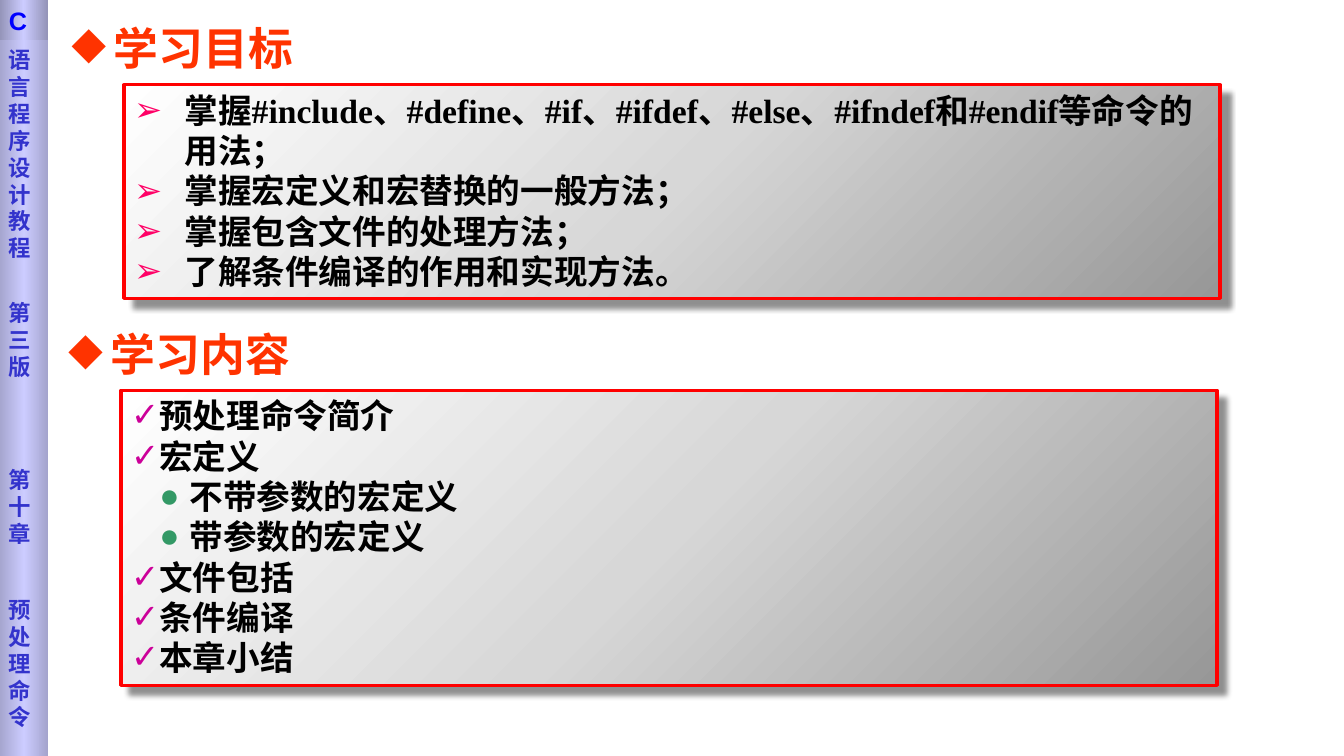
"""Build the study goals and contents slide of a C programming course."""
from copy import deepcopy

from lxml import etree
from pptx import Presentation
from pptx.dml.color import RGBColor
from pptx.enum.shapes import MSO_SHAPE
from pptx.enum.text import MSO_ANCHOR, MSO_AUTO_SIZE, PP_ALIGN
from pptx.oxml import parse_xml
from pptx.oxml.ns import nsdecls, qn
from pptx.util import Inches, Pt

RECTANGLE = MSO_SHAPE.RECTANGLE
TOP = MSO_ANCHOR.TOP
NO_FIT = MSO_AUTO_SIZE.NONE
LEFT = PP_ALIGN.LEFT
COLORS = {
    "heading": "FF3300", "text": "000000", "frame": "FF0000",
    "arrow": "FF0066", "tick": "CC0099", "dot": "339966",
    "sidebar_text": "3333CC", "language": "0000FF",
}
PANEL_STOPS = ("979797", "D7D7D7", "FFFFFF")
SIDEBAR_STOPS = ("A4A4CD", "CCCCFF", "A4A4CD")
CAP_STOPS = ("9292B6", "CCCCFF", "9292B6")
BULLETS = {
    "heading": ("◆", 0, 0.42),
    "arrow": ("➢", 0, 0.5),
    "tick": ("✓", 0, 0.28),
    "dot": ("●", 0.28, 0.3),
}


def write(shape, lines, font, size, color):
    """Fill a shape with (text, bullet, space before) lines."""
    frame = shape.text_frame
    frame.word_wrap = True
    frame.auto_size = NO_FIT
    frame.vertical_anchor = TOP
    for number, (text, bullet, gap) in enumerate(lines):
        paragraph = frame.add_paragraph() if number else frame.paragraphs[0]
        paragraph.text = text
        paragraph.alignment = LEFT
        paragraph.space_before = Pt(gap)
        if bullet:
            mark, start, hang = BULLETS[bullet]
            props = paragraph._p.get_or_add_pPr()
            props.set("marL", str(Inches(start + hang)))
            props.set("indent", str(-Inches(hang)))
            tint = etree.SubElement(props, qn("a:buClr"))
            etree.SubElement(tint, qn("a:srgbClr"), val=COLORS[bullet])
            etree.SubElement(props, qn("a:buChar"), char=mark)
        paragraph.font.name = font
        paragraph.font.size = Pt(size)
        paragraph.font.bold = True
        paragraph.font.color.rgb = RGBColor.from_string(COLORS[color])


def shade(shape, colors, angle):
    """Give a shape an evenly spaced gradient and no shadow."""
    shape.fill.gradient()
    shape.fill.gradient_angle = angle
    stop_list = shape._element.spPr.find(".//" + qn("a:gsLst"))
    stop_list.append(deepcopy(stop_list[0]))
    for number, (stop, color) in enumerate(zip(shape.fill.gradient_stops, colors)):
        stop.position = number / (len(colors) - 1)
        stop.color.rgb = RGBColor.from_string(color)
    shape.shadow.inherit = False


deck = Presentation()
deck.slide_width = Inches(13.33)
deck.slide_height = Inches(7.5)
slide = deck.slides.add_slide(deck.slide_layouts[3])
goals_heading, goals, contents = slide.placeholders
contents_heading = slide.shapes.add_textbox(0, 0, 0, 0)

for heading, text, left, top in (
    (goals_heading, "学习目标", 0.61, 0.16),
    (contents_heading, "学习内容", 0.58, 3.19),
):
    heading.left, heading.top = Inches(left), Inches(top)
    heading.width, heading.height = Inches(4.25), Inches(0.63)
    write(heading, [(text, "heading", 0)], "Arial", 32, "heading")

goal_lines = [(text, "arrow", 0) for text in (
    "掌握#include、#define、#if、#ifdef、#else、#ifndef和#endif等命令的用法；",
    "掌握宏定义和宏替换的一般方法；",
    "掌握包含文件的处理方法；",
    "了解条件编译的作用和实现方法。",
)]
content_lines = [
    ("预处理命令简介", "tick", 0),
    ("宏定义", "tick", 0),
    ("不带参数的宏定义", "dot", 0),
    ("带参数的宏定义", "dot", 0),
    ("文件包括", "tick", 0),
    ("条件编译", "tick", 0),
    ("本章小结", "tick", 0),
]
for panel, lines, left, top, height in (
    (goals, goal_lines, 1.23, 0.84, 2.12),
    (contents, content_lines, 1.2, 3.87, 2.93),
):
    panel.left, panel.top = Inches(left), Inches(top)
    panel.width, panel.height = Inches(10.87), Inches(height)
    shade(panel, PANEL_STOPS, 135)
    panel.line.color.rgb = RGBColor.from_string(COLORS["frame"])
    panel.line.width = Pt(2.25)
    panel._element.spPr.find(qn("a:effectLst")).append(parse_xml(
        f'<a:outerShdw {nsdecls("a")} blurRad="{Pt(4)}" dist="{Pt(8.4)}" '
        'dir="2700000" algn="ctr" rotWithShape="0"><a:srgbClr val="000000">'
        '<a:alpha val="43000"/></a:srgbClr></a:outerShdw>'))
    write(panel, lines, "Times New Roman", 24, "text")

course_lines = [
    ("语言程序设计教程", None, 0),
    ("第三版", None, 27),
    ("第十章", None, 62),
    ("预处理命令", None, 35),
]
for height, stops, inset, lines, font, size, color in (
    (7.5, SIDEBAR_STOPS, 0.46, course_lines, "DejaVu Sans", 16, "sidebar_text"),
    (0.4, CAP_STOPS, 0.05, [("C", None, 0)], "Arial", 18, "language"),
):
    strip = slide.shapes.add_shape(
        RECTANGLE, Inches(-0.01), 0, Inches(0.49), Inches(height))
    shade(strip, stops, 0)
    strip.line.fill.background()
    strip.text_frame.margin_top = Inches(inset)
    write(strip, lines, font, size, color)

deck.save("out.pptx")
